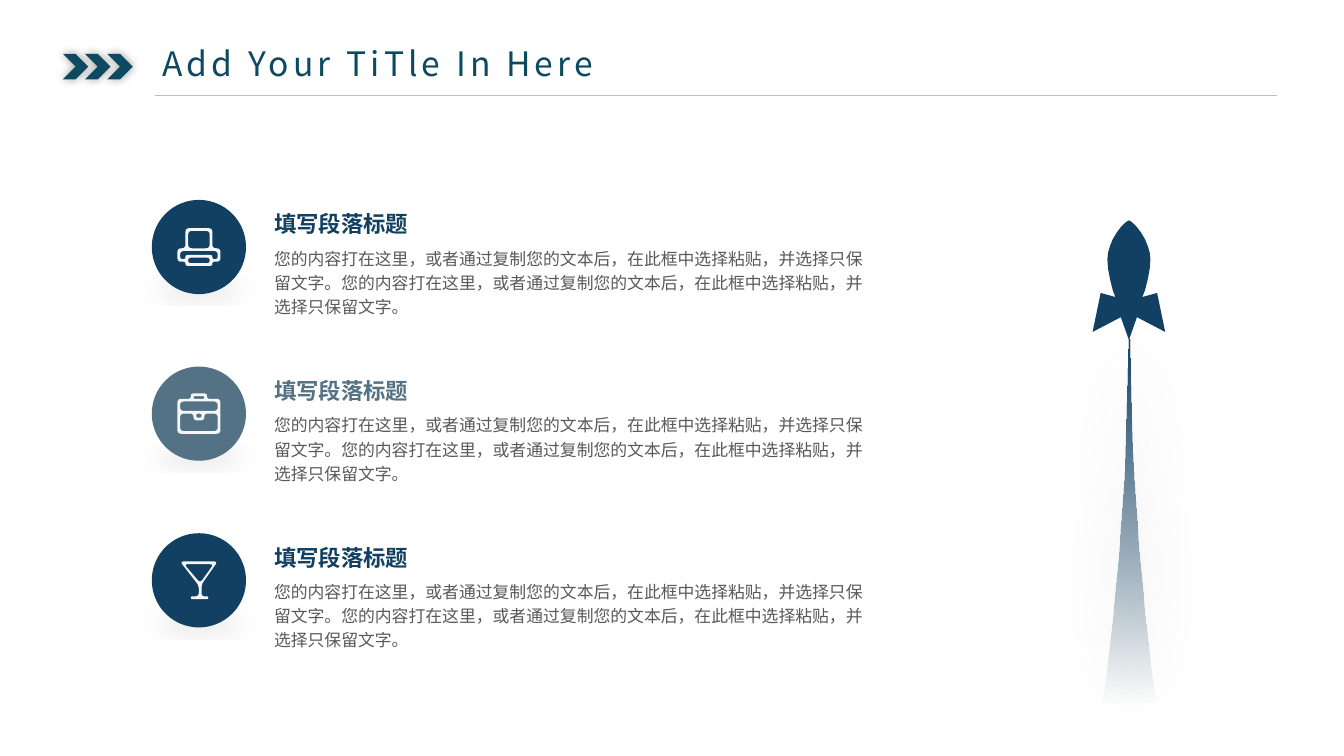
import math
from dataclasses import dataclass

import pptx
import pptx.dml.color
import pptx.enum.shapes
import pptx.enum.text
import pptx.oxml
import pptx.oxml.ns
import pptx.util
from lxml import etree

Cm, Pt = pptx.util.Cm, pptx.util.Pt
RGBColor = pptx.dml.color.RGBColor
MSO_SHAPE = pptx.enum.shapes.MSO_SHAPE
qn = pptx.oxml.ns.qn
Points = list[tuple[float, float]]

TEAL = RGBColor(0x0D, 0x49, 0x60)
NAVY = RGBColor(0x12, 0x40, 0x62)
SLATE = RGBColor(0x53, 0x72, 0x85)
GREY = RGBColor(0x59, 0x59, 0x59)
RULE = RGBColor(0xBF, 0xBF, 0xBF)
OFF_WHITE = RGBColor(0xF6, 0xF6, 0xF6)

SC, JP = "Noto Sans CJK SC", "Noto Sans CJK JP"
UNIT = Cm(0.0254)  # grid step of the outlines
SENTENCE = "您的内容打在这里，或者通过复制您的文本后，在此框中选择粘贴，并选择只保留文字。"


@dataclass
class Shadow:
    color: str
    alpha: int
    blur: float
    dist: float = 0
    angle: int = 0
    sx: int = 100
    sy: int = 100


@dataclass
class Item:
    heading: str
    body: str
    color: RGBColor
    icon: list[Points]


def child(parent, tag: str, **attrs):
    return etree.SubElement(parent, qn(tag), {k: str(v) for k, v in attrs.items()})


def style(sp, color: RGBColor, shadow: Shadow | None = None) -> None:
    sp.fill.solid()
    sp.fill.fore_color.rgb = color
    sp.line.fill.background()
    sp.shadow.inherit = False
    if shadow:
        outer = child(sp._element.spPr.find(qn("a:effectLst")), "a:outerShdw",
                      blurRad=Pt(shadow.blur), dist=Pt(shadow.dist),
                      dir=shadow.angle * 60000, sx=shadow.sx * 1000,
                      sy=shadow.sy * 1000, algn="b" if shadow.sy < 100 else "ctr",
                      rotWithShape=0)
        child(child(outer, "a:srgbClr", val=shadow.color), "a:alpha", val=shadow.alpha * 1000)


def write(sp, text: str, *, size: float, font: str, color: RGBColor, bold: bool = False,
          wrap: bool = True, leading: float = 1.0, spacing: float = 0,
          inset: tuple[float, float] = (0.18, 0.1)) -> None:
    tf = sp.text_frame
    tf.word_wrap = wrap
    tf.auto_size = pptx.enum.text.MSO_AUTO_SIZE.SHAPE_TO_FIT_TEXT
    tf.vertical_anchor = pptx.enum.text.MSO_ANCHOR.TOP
    tf.margin_left = tf.margin_right = Cm(inset[0])
    tf.margin_top = tf.margin_bottom = Cm(inset[1])
    p = tf.paragraphs[0]
    p.alignment = pptx.enum.text.PP_ALIGN.LEFT
    p.line_spacing = leading
    r = p.add_run()
    r.text = text
    r.font.size, r.font.name, r.font.bold = Pt(size), font, bold
    r.font.color.rgb = color
    rPr = r._r.get_or_add_rPr()
    rPr.set("spc", str(round(spacing * 100)))
    child(rPr, "a:ea", typeface=font)


def rect(l: float, t: float, r: float, b: float) -> Points:
    return [(l, t), (r, t), (r, b), (l, b)]


def rounded(corners: Points, radius: float, steps: int = 6) -> Points:
    """Replace each corner by a short curve, at most half an edge long."""
    points = []
    for i, c in enumerate(corners):
        a, b = corners[i - 1], corners[(i + 1) % len(corners)]
        cut = min(radius, math.dist(a, c) / 2, math.dist(b, c) / 2)
        ends = [[c[k] + (q[k] - c[k]) * cut / math.dist(q, c) for k in (0, 1)] for q in (a, b)]
        for t in (n / steps for n in range(steps + 1)):
            points.append(tuple((1 - t) ** 2 * ends[0][k] + 2 * t * (1 - t) * c[k]
                                + t * t * ends[1][k] for k in (0, 1)))
    return points


def mirrored(half: Points, axis: float) -> Points:
    return [(axis + x, y) for x, y in half] + [(axis - x, y) for x, y in reversed(half)]


def outline(s, contours: list[Points], color: RGBColor, left: int = 0, top: int = 0,
            shadow: Shadow | None = None):
    paths = [[(left + x * UNIT, top + y * UNIT) for x, y in c] for c in contours]
    builder = s.shapes.build_freeform(*paths[0][0])
    for i, points in enumerate(paths):
        if i:
            builder.move_to(*points[0])
        builder.add_line_segments(points[1:], close=True)
    sp = builder.convert_to_shape()
    style(sp, color, shadow)
    return sp


def fade_out(sp, color: RGBColor) -> None:
    """Fill from clear at the bottom to solid at the top."""
    spPr = sp._element.spPr
    grad = pptx.oxml.parse_xml(f'<a:gradFill {pptx.oxml.ns.nsdecls("a")} rotWithShape="1"/>')
    stops = child(grad, "a:gsLst")
    for pos, alpha in ((0, 0), (100000, 100000)):
        clr = child(child(stops, "a:gs", pos=pos), "a:srgbClr", val=color)
        child(clr, "a:alpha", val=alpha)
    child(grad, "a:lin", ang=270 * 60000, scaled=0)
    spPr.replace(spPr.find(qn("a:solidFill")), grad)


def draw_item(s, item: Item, top: float) -> None:
    left = 2.87
    sp = s.shapes.add_shape(MSO_SHAPE.OVAL, Cm(left), Cm(top), Cm(1.78), Cm(1.78))
    style(sp, item.color, Shadow("000000", 10, 14, 3, 90, 90, 20))
    outline(s, [rounded(c, 3) for c in item.icon], OFF_WHITE, Cm(left), Cm(top))
    heading = s.shapes.add_textbox(Cm(5), Cm(top + 0.1), Cm(2.95), Cm(0.71))
    write(heading, item.heading, size=12, font=SC, color=item.color, bold=True, wrap=False)
    body = s.shapes.add_textbox(Cm(5), Cm(top + 0.74), Cm(11.58), Cm(1.57))
    write(body, item.body, size=9, font=SC, color=GREY, leading=1.2)


# Icon contours, measured from the top left of their circle
HAT = [
    [(25, 21), (45, 21), (45, 36), (51, 36), (51, 46), (45, 46),
     (45, 49), (25, 49), (25, 46), (19, 46), (19, 36), (25, 36)],
    [(21, 38), (49, 38), (49, 44), (45, 44), (45, 41), (25, 41), (25, 44), (21, 44)],
    rect(27, 23, 43, 36), rect(27, 43, 43, 47),
]
BRIEFCASE = [
    [(29, 24), (29, 20), (41, 20), (41, 24), (51, 24), (51, 50), (19, 50), (19, 24)],
    [(21, 35), (31, 35), (31, 40), (39, 40), (39, 35), (49, 35), (49, 48), (21, 48)],
    rect(31, 22, 39, 24), rect(21, 26, 49, 33), rect(33, 35, 37, 38),
]
GLASS = [
    [(21, 21), (49, 21), (37, 38), (37, 47), (42, 47),
     (42, 49), (29, 49), (29, 47), (35, 47), (35, 39)],
    [(24, 23), (46, 23), (36, 37)],
]
# Right halves of the rocket and its trail
ROCKET = [(0, 164), (1, 164.5), (3, 166), (6, 169), (9, 173), (12, 178), (14, 183),
          (15.5, 188), (16, 193), (15.5, 200), (14, 208), (12, 216), (10, 221),
          (21, 218), (27, 247), (6, 236), (0, 253)]
TRAIL = [(0.5, 253), (1, 281), (2, 318), (3.5, 355), (7, 405),
         (11, 450), (15, 488), (18.5, 514), (20.5, 524)]
ITEMS = [Item("填写段落标题", SENTENCE * 2, color, icon)
         for color, icon in ((NAVY, HAT), (SLATE, BRIEFCASE), (NAVY, GLASS))]


def main() -> None:
    prs = pptx.Presentation()
    prs.slide_width, prs.slide_height = Cm(25.4), Cm(14.29)
    s = prs.slides.add_slide(prs.slide_layouts[5])

    # Title bar
    for i in range(3):
        sp = s.shapes.add_shape(MSO_SHAPE.CHEVRON, Cm(1.19 + 0.42 * i), Cm(1.02), Cm(0.48), Cm(0.48))
        style(sp, TEAL, Shadow("000000", 40, 5))
    title = s.shapes.title
    title.left, title.top, title.width, title.height = Cm(2.92), Cm(0.74), Cm(11.05), Cm(0.91)
    write(title, "Add Your TiTle In Here", size=18, font=JP, color=TEAL, spacing=2.2,
          inset=(0.15, 0.08))
    rule = s.shapes.add_connector(pptx.enum.shapes.MSO_CONNECTOR.STRAIGHT,
                                  Cm(2.92), Cm(1.81), Cm(24.13), Cm(1.81))
    rule.line.color.rgb, rule.line.width = RULE, Pt(0.5)
    child(rule._element.spPr, "a:effectLst")

    # Three items
    for i, item in enumerate(ITEMS):
        draw_item(s, item, 3.78 + 3.15 * i)

    # Rocket
    outline(s, [mirrored(ROCKET, 840)], NAVY)
    trail = outline(s, [mirrored(TRAIL, 840)], NAVY, shadow=Shadow("808080", 40, 33, 2, 45))
    fade_out(trail, NAVY)

    prs.save("out.pptx")


if __name__ == "__main__":
    main()
